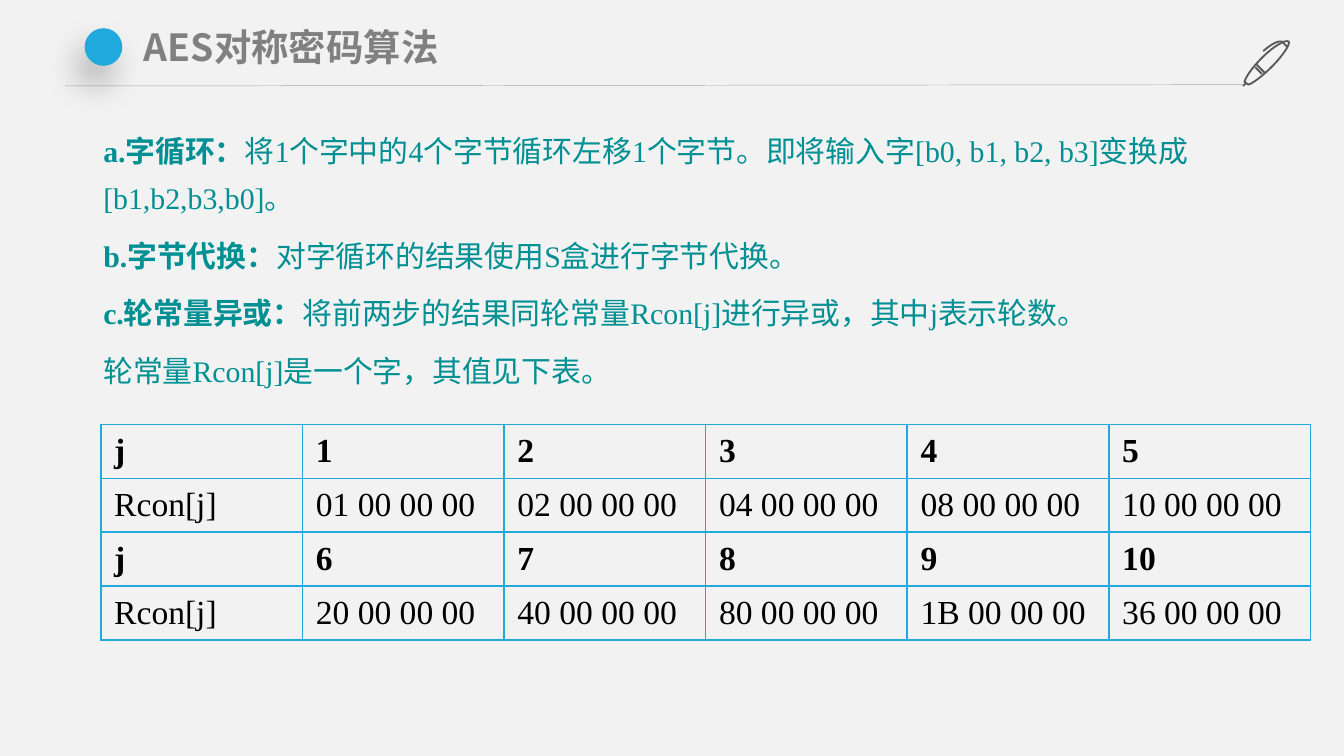
from lxml import etree
from pptx import Presentation
from pptx.dml.color import RGBColor
from pptx.enum.shapes import MSO_CONNECTOR, MSO_SHAPE
from pptx.enum.text import MSO_ANCHOR, MSO_AUTO_SIZE
from pptx.oxml import parse_xml
from pptx.oxml.ns import nsdecls, qn
from pptx.util import Inches, Pt

STRAIGHT = MSO_CONNECTOR.STRAIGHT
ELLIPSE = MSO_SHAPE.OVAL
MIDDLE = MSO_ANCHOR.MIDDLE
GROW = MSO_AUTO_SIZE.SHAPE_TO_FIT_TEXT

SERIF = "Times New Roman"
SANS = "Noto Sans CJK SC"
BLUE = "20A9DD"
TEAL = "008F92"
CURVE_STEPS = 8

STEPS = [
    ("a.字循环：", "将1个字中的4个字节循环左移1个字节。即将输入字[b0, b1, b2, b3]变换成[b1,b2,b3,b0]。"),
    ("b.字节代换：", "对字循环的结果使用S盒进行字节代换。"),
    ("c.轮常量异或：", "将前两步的结果同轮常量Rcon[j]进行异或，其中j表示轮数。"),
    ("", "轮常量Rcon[j]是一个字，其值见下表。"),
]
ROUND_CONSTANTS = ["01", "02", "04", "08", "10", "20", "40", "80", "1B", "36"]
ROUNDS_PER_ROW = 5

PEN_STROKES = [
    [(9.39, 0.55), (9.34, 0.5)],
    [(9.35, 0.48), (9.41, 0.54)],
    [(9.59, 0.31), (9.57, 0.29, 9.48, 0.34, 9.39, 0.43), (9.32, 0.5, 9.27, 0.57, 9.26, 0.61),
     (9.29, 0.63), (9.32, 0.62, 9.39, 0.57, 9.46, 0.5), (9.55, 0.41, 9.6, 0.33, 9.59, 0.31)],
    [(9.27, 0.62), (9.25, 0.64)],
    [(9.58, 0.35), (9.58, 0.35, 9.56, 0.33, 9.54, 0.31), (9.54, 0.31, 9.5, 0.29, 9.4, 0.38)],
]


def color(hex_code):
    """Turn a hex string into a colour."""
    return RGBColor.from_string(hex_code)


def add_run(paragraph, text, font_name, size, hex_code, bold=False):
    """Append one styled run, with the sans font for Chinese."""
    run = paragraph.add_run()
    run.text = text
    font = run.font
    font.name, font.size, font.bold = font_name, Pt(size), bold
    font.color.rgb = color(hex_code)
    east_asian = etree.Element(qn("a:ea"), typeface=SANS)
    run._r.rPr.find(qn("a:latin")).addnext(east_asian)


def add_text_frame(slide, left, top, width, height):
    """Add a wrapping text box and return its frame."""
    frame = slide.shapes.add_textbox(
        Inches(left), Inches(top), Inches(width), Inches(height)).text_frame
    frame.word_wrap = True
    frame.auto_size = GROW
    return frame


def add_rule(slide):
    """Draw the thin rule under the title."""
    rule = slide.shapes.add_connector(
        STRAIGHT, Inches(0.48), Inches(0.64), Inches(9.25), Inches(0.63))
    rule.line.color.rgb = color("A6A6A6")
    rule.line.width = Pt(0.25)
    etree.SubElement(rule._element.spPr, qn("a:effectLst"))


def curve_points(start, curve):
    """Sample a cubic curve that begins at start."""
    x1, y1, x2, y2, x3, y3 = curve
    points = []
    for step in range(1, CURVE_STEPS + 1):
        t = step / CURVE_STEPS
        weights = ((1 - t) ** 3, 3 * t * (1 - t) ** 2, 3 * t * t * (1 - t), t ** 3)
        points.append(tuple(
            sum(weight * value for weight, value in zip(weights, values))
            for values in ((start[0], x1, x2, x3), (start[1], y1, y2, y3))))
    return points


def stroke_points(stroke):
    """Expand the lines and curves of a stroke into points."""
    points = [stroke[0]]
    for segment in stroke[1:]:
        points += [segment] if len(segment) == 2 else curve_points(points[-1], segment)
    return [(Inches(x), Inches(y)) for x, y in points]


def add_pen(slide):
    """Draw the outlined pen at the end of the rule."""
    strokes = [stroke_points(stroke) for stroke in PEN_STROKES]
    builder = slide.shapes.build_freeform(*strokes[0][0])
    for index, points in enumerate(strokes):
        if index:
            builder.move_to(*points[0])
        builder.add_line_segments(points[1:], close=False)
    pen = builder.convert_to_shape()
    pen.shadow.inherit = False
    pen.fill.background()
    pen.line.color.rgb = color("595959")
    pen.line.width = Pt(1)


def add_title_dot(slide):
    """Add the blue dot with its soft shadow."""
    dot = slide.shapes.add_shape(ELLIPSE, Inches(0.63), Inches(0.21), Inches(0.28), Inches(0.28))
    dot.shadow.inherit = False
    dot.fill.solid()
    dot.fill.fore_color.rgb = color(BLUE)
    dot.line.fill.background()
    dot._element.spPr.find(qn("a:effectLst")).append(parse_xml(
        f'<a:outerShdw {nsdecls("a")} blurRad="{Pt(18)}" dist="{Pt(11)}" dir="{113 * 60000}" '
        'algn="ctr" rotWithShape="0"><a:srgbClr val="000000"><a:alpha val="27000"/>'
        '</a:srgbClr></a:outerShdw>'))


def add_title(slide):
    """Add the slide title."""
    frame = add_text_frame(slide, 0.98, 0.14, 8.27, 0.43)
    frame.margin_left = frame.margin_right = Inches(0.09)
    frame.margin_top = frame.margin_bottom = Inches(0.04)
    add_run(frame.paragraphs[0], "AES对称密码算法", SANS, 20, "808080", bold=True)


def add_steps(slide):
    """Add the steps of the key schedule function."""
    frame = add_text_frame(slide, 0.67, 0.86, 8.98, 2.08)
    for index, (label, description) in enumerate(STEPS):
        paragraph = frame.add_paragraph() if index else frame.paragraphs[0]
        paragraph.line_spacing = 1.3
        paragraph.space_before = Pt(3 if index else 0)
        paragraph.space_after = Pt(3)
        if label:
            add_run(paragraph, label, SERIF, 16, TEAL, bold=True)
        add_run(paragraph, description, SERIF, 16, TEAL)


def add_borders(cell):
    """Put a thin blue border on all sides of a cell."""
    properties = cell._tc.get_or_add_tcPr()
    for position, side in enumerate(("lnL", "lnR", "lnT", "lnB")):
        properties.insert(position, parse_xml(
            f'<a:{side} {nsdecls("a")} w="{Pt(1)}"><a:solidFill>'
            f'<a:srgbClr val="{BLUE}"/></a:solidFill></a:{side}>'))


def round_constant_rows():
    """Return alternating rows of round numbers and constants."""
    rows = []
    for first in range(0, len(ROUND_CONSTANTS), ROUNDS_PER_ROW):
        constants = ROUND_CONSTANTS[first:first + ROUNDS_PER_ROW]
        rows.append(["j"] + [str(first + offset + 1) for offset in range(len(constants))])
        rows.append(["Rcon[j]"] + [f"{constant} 00 00 00" for constant in constants])
    return rows


def add_round_constants(slide):
    """Add the table of round constants."""
    rows = round_constant_rows()
    table = slide.shapes.add_table(
        len(rows), len(rows[0]), Inches(0.75), Inches(3.16), Inches(9), Inches(1.6)).table
    table.first_row = table.horz_banding = False
    for row_index, values in enumerate(rows):
        for column_index, value in enumerate(values):
            cell = table.cell(row_index, column_index)
            cell.fill.background()
            cell.vertical_anchor = MIDDLE
            add_borders(cell)
            add_run(cell.text_frame.paragraphs[0], value, SERIF, 18, "000000",
                    bold=row_index % 2 == 0)


def main():
    """Build and save the slide."""
    presentation = Presentation()
    presentation.slide_width = Inches(10)
    presentation.slide_height = Inches(10 * 9 / 16)
    slide = presentation.slides.add_slide(presentation.slide_layouts[6])
    slide.background.fill.solid()
    slide.background.fill.fore_color.rgb = color("F2F2F2")
    add_rule(slide)
    add_pen(slide)
    add_title_dot(slide)
    add_steps(slide)
    add_title(slide)
    add_round_constants(slide)
    presentation.save("out.pptx")


if __name__ == "__main__":
    main()
